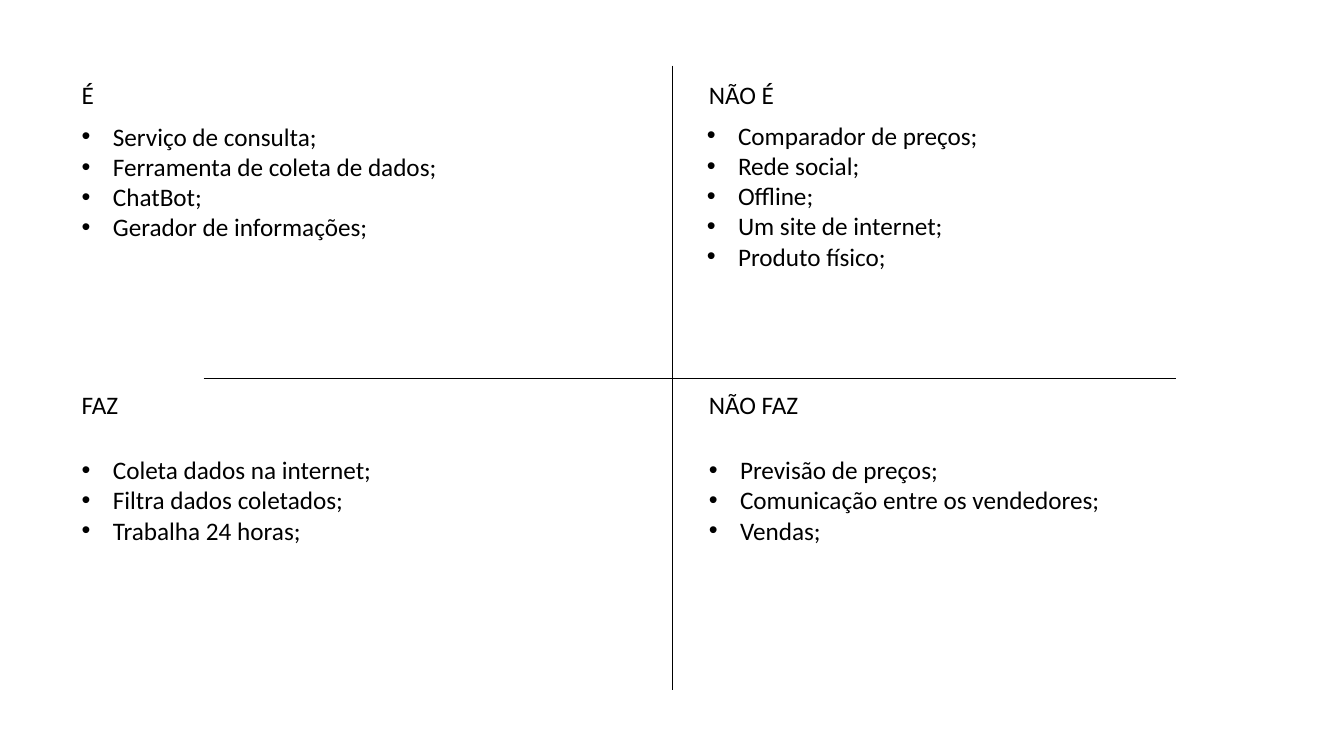
from lxml.etree import SubElement
from pptx import Presentation
from pptx.dml.color import RGBColor
from pptx.enum.shapes import MSO_CONNECTOR as Connector
from pptx.enum.text import MSO_ANCHOR as Anchor, MSO_AUTO_SIZE as AutoSize, PP_ALIGN as Align
from pptx.oxml.ns import qn
from pptx.util import Inches, Pt

BLACK = RGBColor(0, 0, 0)
COMPARISON_LAYOUT = 4
INSET = Inches(0.05)
HANGING = Inches(0.31)

FRAME_FORMAT = {
    "margin_left": INSET, "margin_right": INSET,
    "margin_top": INSET, "margin_bottom": INSET,
    "word_wrap": True, "vertical_anchor": Anchor.TOP,
    "auto_size": AutoSize.SHAPE_TO_FIT_TEXT,
}
PARA_FORMAT = {"alignment": Align.LEFT, "space_before": Pt(0),
               "space_after": Pt(0), "line_spacing": 1.0}
FONT_FORMAT = {"name": "Calibri", "size": Pt(18), "bold": False}

# Heading, heading box, list box, list items; boxes are left, top, width, height
QUADRANTS = [
    ("É", (0.76, 0.74, 0.71, 0.39), (0.76, 1.15, 5.6, 1.62),
     ["Serviço de consulta;", "Ferramenta de coleta de dados;",
      "ChatBot;", "Gerador de informações;"]),
    ("NÃO É", (6.98, 0.74, 0.91, 0.39), (6.96, 1.14, 5.75, 1.62),
     ["Comparador de preços;", "Rede social;", "Offline;",
      "Um site de internet;", "Produto físico;"]),
    ("FAZ", (0.76, 3.81, 0.71, 0.39), (0.76, 4.46, 5.6, 1.01),
     ["Coleta dados na internet;", "Filtra dados coletados;",
      "Trabalha 24 horas;"]),
    ("NÃO FAZ", (6.98, 3.81, 1.32, 0.39), (6.98, 4.46, 5.75, 1.01),
     ["Previsão de preços;", "Comunicação entre os vendedores;", "Vendas;"]),
]
AXES = [(6.67, 0.65, 6.67, 6.85), (2.02, 3.75, 11.66, 3.75)]


def apply_format(target, values):
    for name, value in values.items():
        setattr(target, name, value)


def add_bullet(para):
    properties = para._p.get_or_add_pPr()
    properties.set("marL", str(HANGING))
    properties.set("indent", str(-HANGING))
    SubElement(properties, qn("a:buFont"), typeface="Arial")
    SubElement(properties, qn("a:buChar"), char="•")


def fill_box(box, position, lines, bulleted=False):
    sides = map(Inches, position)
    apply_format(box, dict(zip(("left", "top", "width", "height"), sides)))
    frame = box.text_frame
    apply_format(frame, FRAME_FORMAT)
    frame.text = "\n".join(lines)
    for para in frame.paragraphs:
        apply_format(para, PARA_FORMAT)
        if bulleted:
            add_bullet(para)
        for span in para.runs:
            apply_format(span.font, FONT_FORMAT)
            span.font.color.rgb = BLACK


def add_axis(page, ends):
    axis = page.shapes.add_connector(Connector.STRAIGHT, *map(Inches, ends))
    axis.line.color.rgb = BLACK
    axis.line.width = Pt(0.5)
    SubElement(axis._element.spPr, qn("a:effectLst"))


def main():
    deck = Presentation()
    deck.slide_width, deck.slide_height = Inches(13.33), Inches(7.5)
    page = deck.slides.add_slide(deck.slide_layouts[COMPARISON_LAYOUT])

    # The slide has no overall title
    title = page.shapes.title._element
    title.getparent().remove(title)

    # Crossing axes
    for ends in AXES:
        add_axis(page, ends)

    # Top row fills the layout's placeholders, bottom row needs text boxes
    boxes = sorted(page.placeholders, key=lambda box: box.placeholder_format.idx)
    while len(boxes) < 2 * len(QUADRANTS):
        boxes.append(page.shapes.add_textbox(0, 0, 0, 0))

    # Quadrants
    for (heading, heading_at, list_at, items), heading_box, list_box in zip(
            QUADRANTS, boxes[::2], boxes[1::2]):
        fill_box(heading_box, heading_at, [heading])
        fill_box(list_box, list_at, items, bulleted=True)

    deck.save("out.pptx")


if __name__ == "__main__":
    main()
